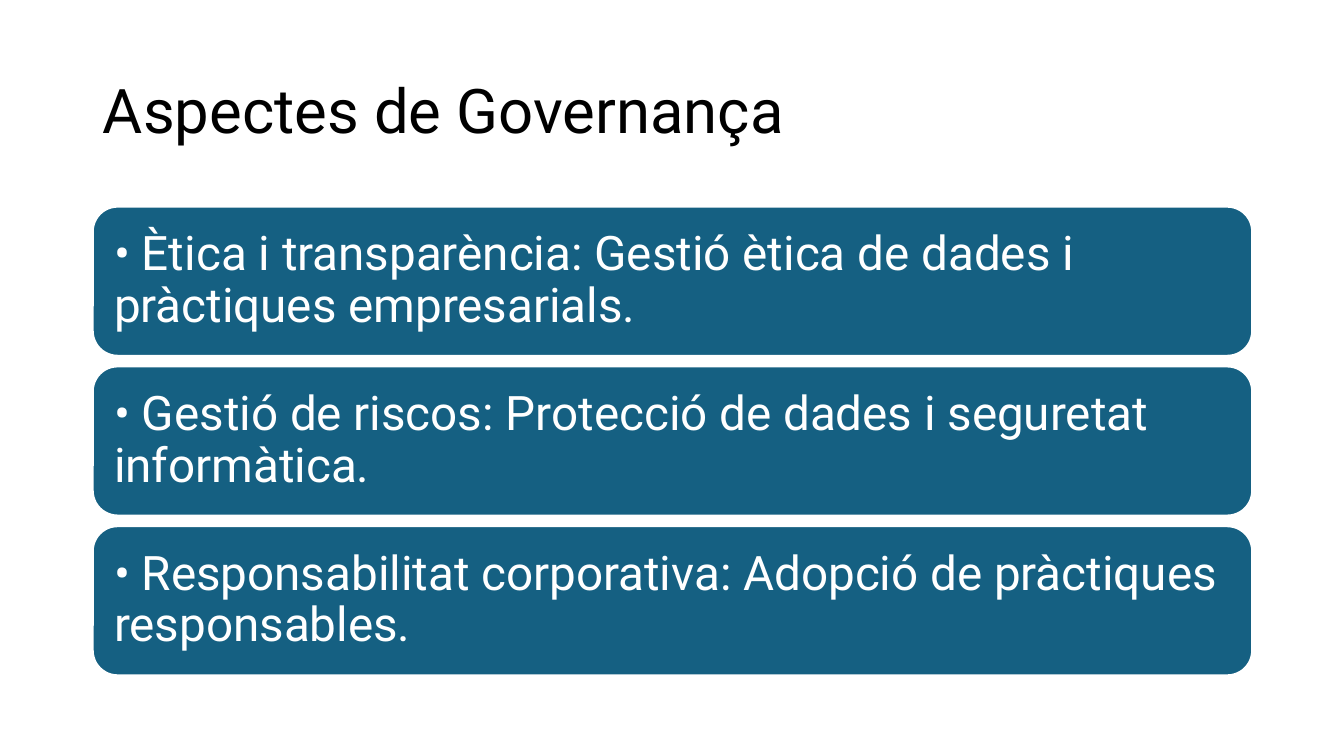
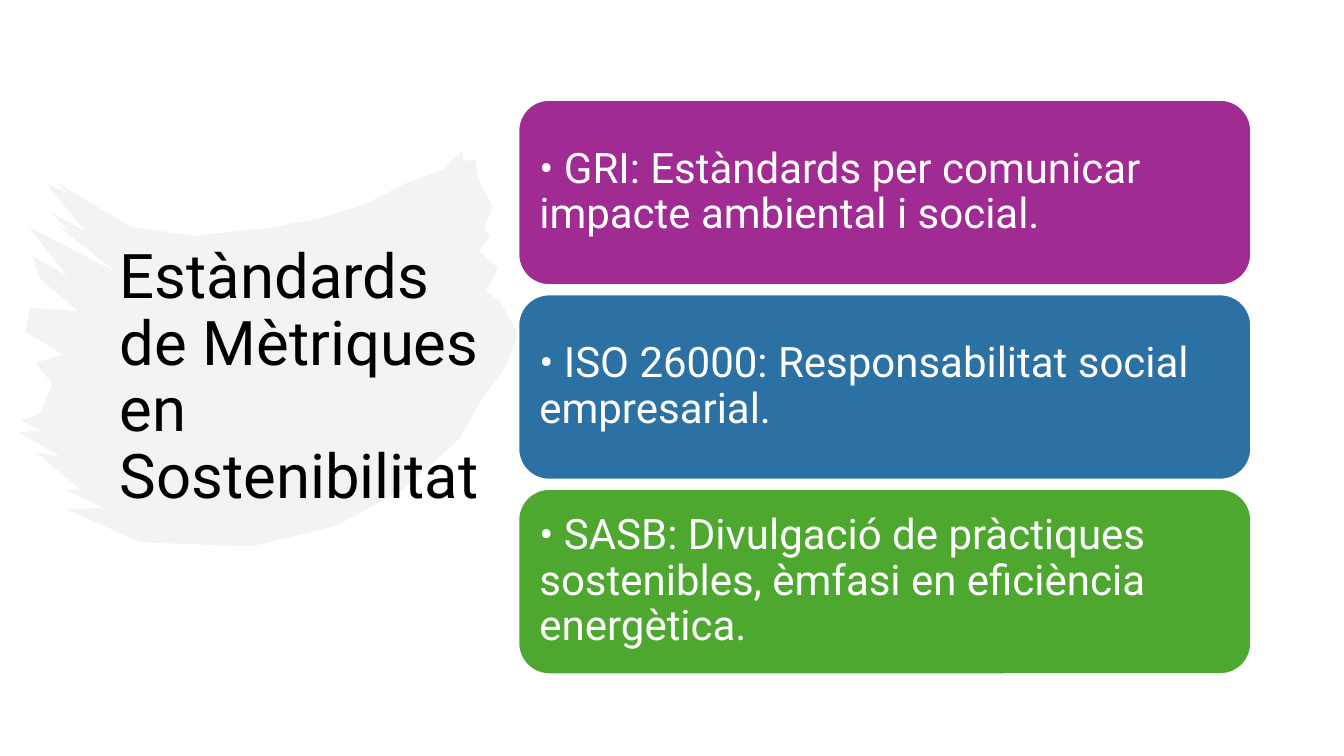
from dataclasses import dataclass

from lxml import etree
from pptx import Presentation
from pptx.dml.color import RGBColor
from pptx.enum.shapes import MSO_SHAPE
from pptx.enum.text import MSO_ANCHOR, MSO_AUTO_SIZE, PP_ALIGN
from pptx.oxml.ns import qn
from pptx.util import Inches, Pt

ROUNDED = MSO_SHAPE.ROUNDED_RECTANGLE
MIDDLE = MSO_ANCHOR.MIDDLE
LEFT = PP_ALIGN.LEFT
NO_AUTOFIT = MSO_AUTO_SIZE.NONE


@dataclass(frozen=True)
class Theme:
    font: str = "Roboto"
    black: RGBColor = RGBColor.from_string("000000")
    white: RGBColor = RGBColor.from_string("FFFFFF")
    brush: RGBColor = RGBColor.from_string("E8E8E8")
    teal: RGBColor = RGBColor.from_string("156082")
    purple: RGBColor = RGBColor.from_string("A02B93")
    blue: RGBColor = RGBColor.from_string("2C71A4")
    green: RGBColor = RGBColor.from_string("4EA72E")
    title_size: int = 44
    line_width: float = 1.5
    line_spacing: float = 0.9


THEME = Theme()

BRUSH_POINTS = [
    (458, 150), (460, 160), (471, 158), (474, 177), (489, 206), (480, 226), (486, 235),
    (475, 249), (494, 266), (482, 289), (496, 300), (514, 330), (503, 361), (476, 399),
    (456, 435), (399, 486), (333, 522), (249, 542), (139, 538), (66, 505), (102, 504),
    (66, 486), (80, 486), (36, 449), (60, 453), (19, 429), (41, 427), (20, 417),
    (39, 411), (52, 381), (35, 360), (63, 352), (25, 329), (30, 305), (78, 309),
    (40, 277), (32, 254), (67, 274), (28, 225), (117, 271), (56, 223), (69, 230),
    (50, 210), (85, 230), (46, 182), (67, 192), (58, 182), (130, 225), (192, 234),
    (260, 227), (316, 217), (361, 203), (402, 182), (438, 169),
]

SLIDES = [
    {
        "title": "Aspectes de Governança",
        "title_box": (0.92, 0.4, 11.5, 1.45),
        "brush": False,
        "cards_box": (0.92, 2.05, 11.5, 4.65),
        "card_height": 1.48,
        "inset": 0.14,
        "size": 34,
        "cards": [
            ("• Ètica i transparència: Gestió ètica de dades i pràctiques empresarials.", THEME.teal),
            ("• Gestió de riscos: Protecció de dades i seguretat informàtica.", THEME.teal),
            ("• Responsabilitat corporativa: Adopció de pràctiques responsables.", THEME.teal),
        ],
    },
    {
        "title": "Estàndards de Mètriques en Sostenibilitat",
        "title_box": (1.09, 0.75, 3.82, 6.01),
        "brush": True,
        "cards_box": (5.14, 0.99, 7.27, 5.7),
        "card_height": 1.84,
        "inset": 0.12,
        "size": 30,
        "cards": [
            ("• GRI: Estàndards per comunicar impacte ambiental i social.", THEME.purple),
            ("• ISO 26000: Responsabilitat social empresarial.", THEME.blue),
            ("• SASB: Divulgació de pràctiques sostenibles, èmfasi en eficiència energètica.", THEME.green),
        ],
    },
]


def set_attributes(target, values):
    for name, value in values.items():
        setattr(target, name, value)


def write_text(shape, text, size, color, horizontal_inset, vertical_inset):
    frame = shape.text_frame
    frame.text = text
    set_attributes(frame, {
        "word_wrap": True,
        "auto_size": NO_AUTOFIT,
        "vertical_anchor": MIDDLE,
        "margin_left": Inches(horizontal_inset),
        "margin_right": Inches(horizontal_inset),
        "margin_top": Inches(vertical_inset),
        "margin_bottom": Inches(vertical_inset),
    })
    paragraph = frame.paragraphs[0]
    set_attributes(paragraph, {"alignment": LEFT, "line_spacing": THEME.line_spacing})
    set_attributes(paragraph.font, {"name": THEME.font, "size": Pt(size)})
    paragraph.font.color.rgb = color


presentation = Presentation()
set_attributes(presentation, {"slide_width": Inches(13.33), "slide_height": Inches(7.5)})
title_only = presentation.slide_layouts[5]

for content in SLIDES:
    slide = presentation.slides.add_slide(title_only)
    title = slide.shapes.title
    title_place = [Inches(value) for value in content["title_box"]]
    set_attributes(title, dict(zip(("left", "top", "width", "height"), title_place)))
    write_text(title, content["title"], THEME.title_size, THEME.black, 0.1, 0.05)

    if content["brush"]:
        builder = slide.shapes.build_freeform(*BRUSH_POINTS[0], scale=Inches(0.01))
        builder.add_line_segments(BRUSH_POINTS[1:], close=True)
        brush = builder.convert_to_shape()
        brush.shadow.inherit = False
        brush.fill.solid()
        brush.fill.fore_color.rgb = THEME.brush
        brush.line.fill.background()
        brush_color = brush.element.spPr.find(qn("a:solidFill")).find(qn("a:srgbClr"))
        etree.SubElement(brush_color, qn("a:alpha"), val="50000")
        title.element.addprevious(brush.element)

    left, top, width, height = content["cards_box"]
    card_height = content["card_height"]
    pitch = (height - card_height) / (len(content["cards"]) - 1)
    for index, (text, color) in enumerate(content["cards"]):
        card = slide.shapes.add_shape(
            ROUNDED, Inches(left), Inches(top + index * pitch), Inches(width), Inches(card_height)
        )
        card.shadow.inherit = False
        card.fill.solid()
        card.fill.fore_color.rgb = color
        card.line.color.rgb = THEME.white
        card.line.width = Pt(THEME.line_width)
        write_text(card, text, content["size"], THEME.white, content["inset"], content["inset"])

presentation.save("out.pptx")
